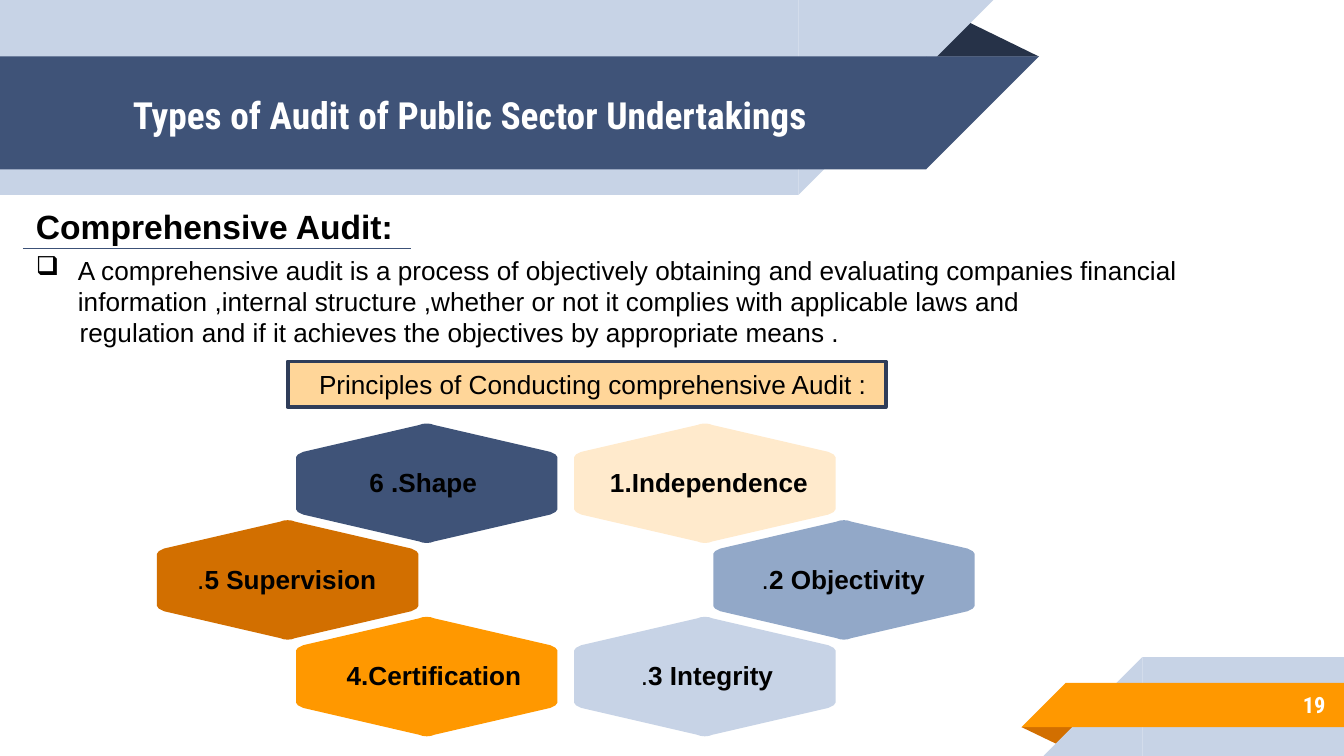
from lxml import etree
from pptx import Presentation
from pptx.dml.color import RGBColor
from pptx.enum.shapes import MSO_CONNECTOR, MSO_SHAPE
from pptx.enum.text import MSO_ANCHOR, PP_ALIGN
from pptx.oxml.ns import qn
from pptx.util import Pt

RECTANGLE = MSO_SHAPE.RECTANGLE
TRIANGLE = MSO_SHAPE.ISOSCELES_TRIANGLE
RIGHT_TRIANGLE = MSO_SHAPE.RIGHT_TRIANGLE
STRAIGHT = MSO_CONNECTOR.STRAIGHT
LEFT, RIGHT = PP_ALIGN.LEFT, PP_ALIGN.RIGHT
TOP, MIDDLE = MSO_ANCHOR.TOP, MSO_ANCHOR.MIDDLE

BLACK = RGBColor(0x00, 0x00, 0x00)
WHITE = RGBColor(0xFF, 0xFF, 0xFF)
NAVY = RGBColor(0x3F, 0x53, 0x78)
DARK_NAVY = RGBColor(0x26, 0x32, 0x48)
FRAME_NAVY = RGBColor(0x2F, 0x3D, 0x59)
RULE_NAVY = RGBColor(0x3C, 0x51, 0x77)
STEEL = RGBColor(0x92, 0xA8, 0xC8)
PALE_BLUE = RGBColor(0xC7, 0xD3, 0xE6)
ORANGE = RGBColor(0xFF, 0x98, 0x00)
BURNT_ORANGE = RGBColor(0xD2, 0x6F, 0x00)
PEACH = RGBColor(0xFF, 0xD6, 0x99)
CREAM = RGBColor(0xFF, 0xEA, 0xCC)

HEADING_FONT, BODY_FONT = "Roboto Condensed", "Arial"

# One quarter of the rounded hexagon, measured from its centre
HEXAGON_QUARTER = [(0, 32), (2.2, 31.8), (4, 31.2), (66.2, 16.8), (69, 15.4), (70, 14)]


def write(para, text, font=BODY_FONT, size=14, color=BLACK, bold=False, align=LEFT):
    para.alignment = align
    span = para.add_run()
    span.text = text
    span.font.name = font
    span.font.size = Pt(size)
    span.font.color.rgb = color
    span.font.bold = bold


def indent(para, margin, bullet=None):
    """Indent a paragraph, hanging the bullet in the margin if there is one."""
    props = para._p.get_or_add_pPr()
    props.set("marL", str(Pt(margin)))
    props.set("indent", str(-Pt(margin) if bullet else 0))
    if bullet:
        color = etree.SubElement(props, qn("a:buClr"))
        etree.SubElement(color, qn("a:srgbClr"), val=str(BLACK))
        etree.SubElement(props, qn("a:buChar"), char=bullet)


class Page:
    def __init__(self, deck):
        self.shapes = deck.slides.add_slide(deck.slide_layouts[6]).shapes

    def paint(self, shape, fill, line=None):
        shape.shadow.inherit = False
        shape.fill.solid()
        shape.fill.fore_color.rgb = fill
        if line:
            shape.line.color.rgb = line
            shape.line.width = Pt(2)
        else:
            shape.line.fill.background()
        return shape

    def preset(self, kind, left, top, width, height, fill, line=None,
               turn=0, flip=False, apex=None):
        shape = self.shapes.add_shape(kind, Pt(left), Pt(top), Pt(width), Pt(height))
        shape.rotation = turn
        if flip:
            shape._element.spPr.find(qn("a:xfrm")).set("flipH", "1")
        if apex is not None:
            shape.adjustments[0] = apex
        return self.paint(shape, fill, line)

    def hexagon(self, center_x, center_y, fill):
        quarter = HEXAGON_QUARTER
        points = (quarter + [(x, -y) for x, y in reversed(quarter)]
                  + [(-x, -y) for x, y in quarter]
                  + [(-x, y) for x, y in reversed(quarter)])
        corners = [(Pt(center_x + x), Pt(center_y + y)) for x, y in points]
        outline = self.shapes.build_freeform(*corners[0], scale=1.0)
        outline.add_line_segments(corners[1:], close=True)
        self.paint(outline.convert_to_shape(), fill)

    def rule(self, left, right, y, color):
        line = self.shapes.add_connector(STRAIGHT, Pt(left), Pt(y), Pt(right), Pt(y))
        line.line.color.rgb = color
        line.line.width = Pt(0.75)
        etree.SubElement(line._element.spPr, qn("a:effectLst"))

    def text_box(self, left, top, width, height, wrap=False, anchor=TOP):
        """Add an empty text box and return its text frame."""
        frame = self.shapes.add_textbox(Pt(left), Pt(top), Pt(width), Pt(height)).text_frame
        frame.word_wrap = wrap
        frame.vertical_anchor = anchor
        return frame


def draw_banners(page):
    page.preset(TRIANGLE, 495.4, 10.1, 61.2, 20.2, DARK_NAVY, apex=0.324)
    for top, width, height, fill in [(0, 427.7, 104.4, PALE_BLUE),
                                     (30.2, 496.1, 60.5, NAVY)]:
        page.preset(RECTANGLE, 0, top, width, height, fill, turn=180, flip=True)
        page.preset(RIGHT_TRIANGLE, width, top, height, height, fill, turn=180, flip=True)

    page.preset(TRIANGLE, 547.2, 389.5, 31, 10.1, BURNT_ORANGE, turn=180, apex=0.324)
    for left, top, height, fill in [(612, 352.1, 52.9, PALE_BLUE),
                                    (571, 365.8, 23.8, ORANGE)]:
        page.preset(RECTANGLE, left, top, 720 - left, height, fill, flip=True)
        page.preset(RIGHT_TRIANGLE, left - height, top, height, height, fill, flip=True)


def draw_text(page):
    title = page.text_box(64.1, 31, 414, 60.5, wrap=True, anchor=MIDDLE)
    write(title.paragraphs[0], "Types of Audit of Public Sector Undertakings",
          font=HEADING_FONT, size=20, color=WHITE, bold=True)
    number = page.text_box(599.8, 365, 117.4, 25.2, wrap=True, anchor=MIDDLE)
    write(number.paragraphs[0], "19", font=HEADING_FONT, size=12, color=WHITE,
          bold=True, align=RIGHT)

    heading = page.text_box(12.2, 106.6, 208.1, 28.8)
    write(heading.paragraphs[0], "Comprehensive Audit:", size=18, bold=True)
    page.rule(12.2, 220.3, 133.2, RULE_NAVY)

    body = page.text_box(12.2, 132.5, 648, 58.3, wrap=True)
    write(body.paragraphs[0],
          "A comprehensive audit is a process of objectively obtaining and evaluating "
          "companies financial information ,internal structure ,whether or not it "
          "complies with applicable laws and")
    indent(body.paragraphs[0], 22.5, bullet="❑")
    ending = body.add_paragraph()
    write(ending, "regulation and if it achieves the objectives by appropriate means .")
    indent(ending, 23.4)

    frame = page.preset(RECTANGLE, 154.1, 193.7, 320.4, 24.5, PEACH, line=FRAME_NAVY).text_frame
    frame.word_wrap = False
    frame.vertical_anchor = MIDDLE
    frame.margin_left = Pt(16.8)
    write(frame.paragraphs[0], "Principles of Conducting comprehensive Audit :")


def draw_principles(page):
    center_x, center_y, step_x, step_y = 303.1, 310.7, 74.5, 51.8
    # column, row, fill, label left, label width, plain lead, bold label
    principles = [
        (1, -1, CREAM, 319.7, 121, "", "1.Independence"),
        (2, 0, STEEL, 401, 102.2, ".", "2 Objectivity"),
        (1, 1, PALE_BLUE, 336.2, 85.7, ".", "3 Integrity"),
        (-1, 1, ORANGE, 178.6, 108.7, "", "4.Certification"),
        (-2, 0, BURNT_ORANGE, 98.6, 110.9, ".", "5 Supervision"),
        (-1, -1, NAVY, 190.8, 72.7, "", "6 .Shape"),
    ]
    for column, row, fill, left, width, lead, label in principles:
        y = center_y + row * step_y
        page.hexagon(center_x + column * step_x, y, fill)
        para = page.text_box(left, y - 12.6, width, 24.5).paragraphs[0]
        if lead:
            write(para, lead)
        write(para, label, bold=True)


def main():
    deck = Presentation()
    deck.slide_width, deck.slide_height = Pt(720), Pt(405)
    page = Page(deck)
    draw_banners(page)
    draw_text(page)
    draw_principles(page)
    deck.save("out.pptx")


if __name__ == "__main__":
    main()
